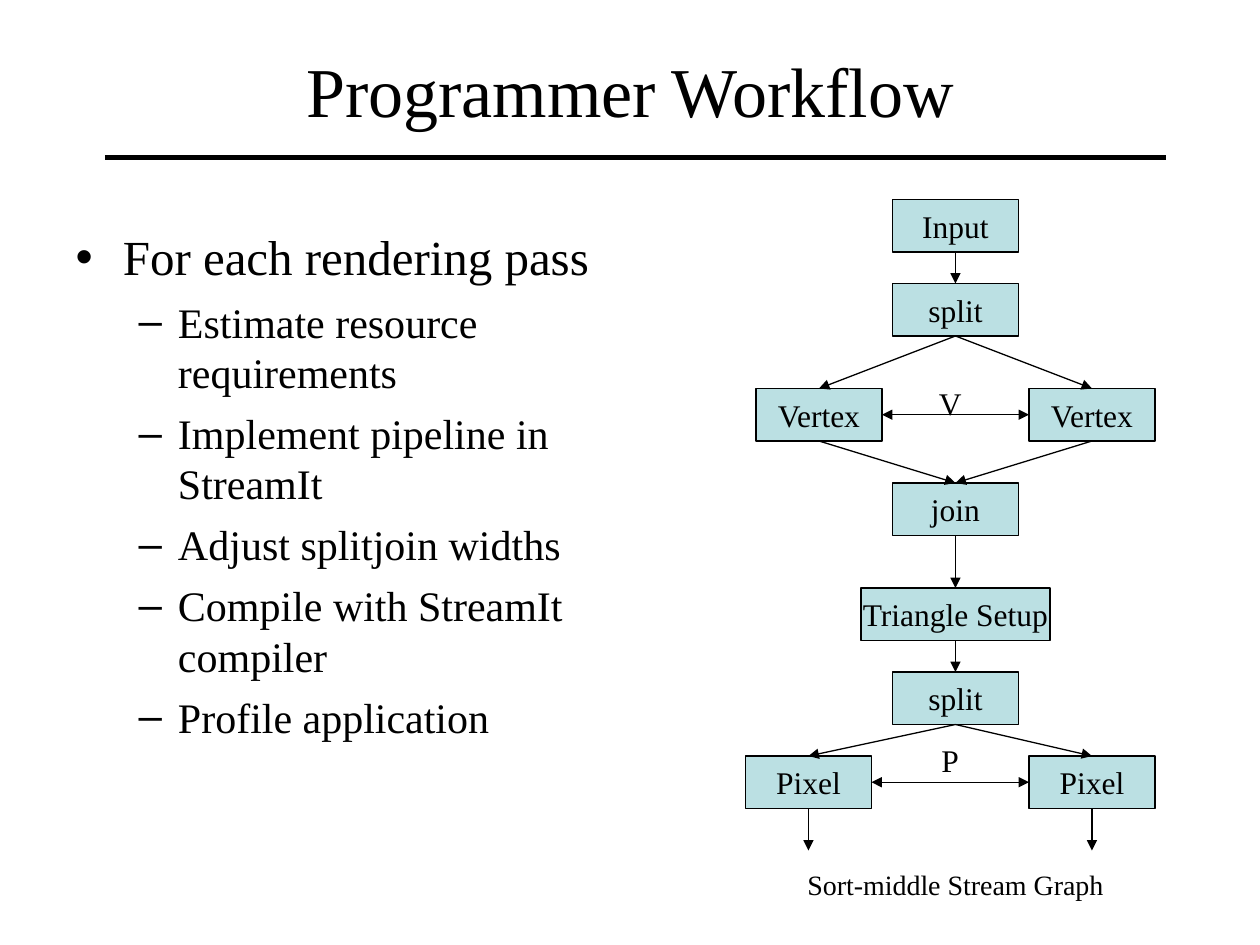
from pptx import Presentation
from pptx.dml.color import RGBColor
from pptx.enum.shapes import MSO_CONNECTOR as CONN, MSO_SHAPE as SHAPE
from pptx.enum.text import MSO_ANCHOR as ANCHOR, MSO_AUTO_SIZE as FIT, PP_ALIGN as ALIGN
from pptx.oxml.ns import qn
from pptx.util import Pt
from lxml.etree import SubElement

THEME = {
    "font": "Times New Roman",
    "ink": RGBColor(0x00, 0x00, 0x00),
    "box": RGBColor(0xBB, 0xE0, 0xE3),
    "title": 40, "bullet": 28, "dash": 24, "label": 18, "caption": 16,
}
TOP, LEFT, BOTTOM, RIGHT = range(4)


def write(p, text, size, align):
    p.alignment = align
    r = p.add_run()
    r.text = text
    style = {"name": THEME["font"], "size": Pt(THEME[size]), "bold": False}
    for key, value in style.items():
        setattr(r.font, key, value)
    r.font.color.rgb = THEME["ink"]


def add_line(x1, y1, x2, y2, width=0.75, ends=()):
    line = s.shapes.add_connector(CONN.STRAIGHT, Pt(x1), Pt(y1), Pt(x2), Pt(y2))
    line.line.color.rgb = THEME["ink"]
    line.line.width = Pt(width)
    ln = line.line._get_or_add_ln()
    for end in ends:
        SubElement(ln, qn(f"a:{end}"), type="triangle")
    SubElement(line._element.spPr, qn("a:effectLst"))
    return line


prs = Presentation()
prs.slide_width, prs.slide_height = Pt(720), Pt(540)
s = prs.slides.add_slide(prs.slide_layouts[1])

# Title and rule below it
title, body = s.placeholders[0], s.placeholders[1]
title.left, title.top, title.width, title.height = Pt(36), Pt(6), Pt(648), Pt(90)
title.text_frame.auto_size = FIT.NONE
title.text_frame.vertical_anchor = ANCHOR.MIDDLE
write(title.text_frame.paragraphs[0], "Programmer Workflow", "title", ALIGN.CENTER)
add_line(60, 90, 666, 90, width=3)

# Bullet list: level, text
items = [
    (0, "For each rendering pass"),
    (1, "Estimate resource requirements"),
    (1, "Implement pipeline in StreamIt"),
    (1, "Adjust splitjoin widths"),
    (1, "Compile with StreamIt compiler"),
    (1, "Profile application"),
]
# Per level: size, bullet, left margin, hanging indent, space before
levels = [("bullet", "•", 27, 27, 0), ("dash", "–", 58.5, 22.5, 6)]
body.left, body.top, body.width, body.height = Pt(36), Pt(126), Pt(372), Pt(356)
tf = body.text_frame
tf.auto_size = FIT.NONE
for i, (level, text) in enumerate(items):
    size, mark, margin, hang, before = levels[level]
    p = tf.add_paragraph() if i else tf.paragraphs[0]
    p.level = level
    p.space_before = Pt(before)
    pPr = p._p.get_or_add_pPr()
    pPr.set("marL", str(Pt(margin)))
    pPr.set("indent", str(-Pt(hang)))
    SubElement(pPr, qn("a:buChar"), char=mark)
    write(p, text, size, ALIGN.LEFT)

# Stream graph boxes: key, text, centre x, top, width
MID, EAST, BOX_H = 546, 624, 30
nodes = [
    ("input", "Input", MID, 114, 72),
    ("split_v", "split", MID, 162, 72),
    ("vertex_l", "Vertex", 468, 222, 72),
    ("vertex_r", "Vertex", EAST, 222, 72),
    ("join", "join", MID, 276, 72),
    ("setup", "Triangle Setup", MID, 336, 108),
    ("split_p", "split", MID, 384, 72),
    ("pixel_l", "Pixel", 462, 432, 72),
    ("pixel_r", "Pixel", EAST, 432, 72),
]
boxes = {}
for key, text, x, y, w in nodes:
    sp = s.shapes.add_shape(SHAPE.RECTANGLE, Pt(x - w / 2), Pt(y), Pt(w), Pt(BOX_H))
    sp.shadow.inherit = False
    sp.fill.solid()
    sp.fill.fore_color.rgb = THEME["box"]
    sp.line.color.rgb = THEME["ink"]
    sp.line.width = Pt(0.75)
    sp.text_frame.word_wrap = False
    sp.text_frame.vertical_anchor = ANCHOR.MIDDLE
    write(sp.text_frame.paragraphs[0], text, "label", ALIGN.CENTER)
    boxes[key] = sp

# Arrows down the graph, and two-way arrows between the parallel stages
links = [
    ("input", "split_v"), ("split_v", "vertex_l"), ("split_v", "vertex_r"),
    ("vertex_l", "join"), ("vertex_r", "join"), ("join", "setup"),
    ("setup", "split_p"), ("split_p", "pixel_l"), ("split_p", "pixel_r"),
]
routes = [(a, BOTTOM, b, TOP, ["tailEnd"]) for a, b in links]
routes += [(f"{stage}_l", RIGHT, f"{stage}_r", LEFT, ["headEnd", "tailEnd"])
           for stage in ("vertex", "pixel")]
for start, start_side, end, end_side, ends in routes:
    line = add_line(0, 0, 0, 0, ends=ends)
    line.begin_connect(boxes[start], start_side)
    line.end_connect(boxes[end], end_side)

# Output arrows
for key, x in (("pixel_l", 462), ("pixel_r", EAST)):
    line = add_line(x, 462, x, 486, ends=["tailEnd"])
    line.begin_connect(boxes[key], BOTTOM)

# Width labels and caption
labels = [
    ("V", 516, 216, 54, 29, "label"),
    ("P", 516, 420, 54, 29, "label"),
    ("Sort-middle Stream Graph", 408, 492, 276, 26.5, "caption"),
]
for text, x, y, w, h, size in labels:
    tf = s.shapes.add_textbox(Pt(x), Pt(y), Pt(w), Pt(h)).text_frame
    tf.word_wrap = True
    write(tf.paragraphs[0], text, size, ALIGN.CENTER)

prs.save("out.pptx")
